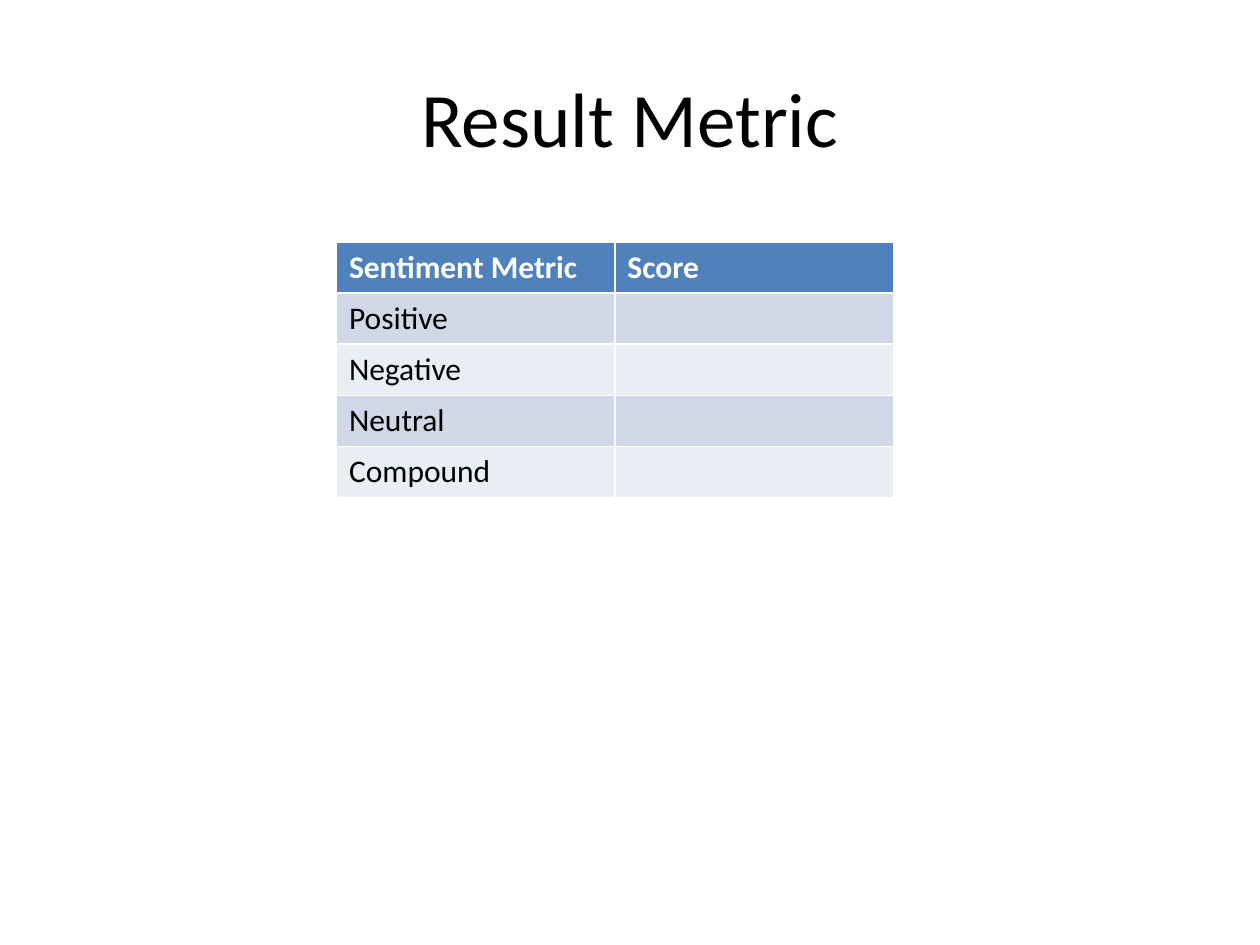
import pptx
import pptx.util
import pptx.dml.color
import pptx.enum.text

COLORS = {
    "text": "000000",
    "header": "4F81BD",
    "header_text": "FFFFFF",
    "odd_row": "D0D8E8",
    "even_row": "E9EDF4",
}
FONT = "Calibri"
ROWS = [
    ("Sentiment Metric", "Score"),
    ("Positive", ""),
    ("Negative", ""),
    ("Neutral", ""),
    ("Compound", ""),
]


def color(name):
    return pptx.dml.color.RGBColor.from_string(COLORS[name])


def format_font(paragraph, size, color_name, bold=False):
    paragraph.font.name = FONT
    paragraph.font.size = pptx.util.Pt(size)
    paragraph.font.bold = bold
    paragraph.font.color.rgb = color(color_name)


def place_title(slide, box, text):
    title = slide.shapes.title
    title.left, title.top, title.width, title.height = map(pptx.util.Inches, box)
    title.text_frame.text = text
    title.text_frame.vertical_anchor = pptx.enum.text.MSO_ANCHOR.MIDDLE
    paragraph = title.text_frame.paragraphs[0]
    paragraph.alignment = pptx.enum.text.PP_ALIGN.CENTER
    format_font(paragraph, 44, "text")


def place_score_table(slide, box, rows):
    left, top, width, height = map(pptx.util.Inches, box)
    table = slide.shapes.add_table(
        len(rows), len(rows[0]), left, top, width, height
    ).table
    for row_index, row in enumerate(rows):
        is_header = row_index == 0
        band = "odd_row" if row_index % 2 else "even_row"
        for column_index, text in enumerate(row):
            cell = table.cell(row_index, column_index)
            cell.text = text
            cell.fill.solid()
            cell.fill.fore_color.rgb = color("header" if is_header else band)
            format_font(
                cell.text_frame.paragraphs[0],
                18,
                "header_text" if is_header else "text",
                is_header,
            )


presentation = pptx.Presentation()
presentation.slide_width = pptx.util.Inches(10)
presentation.slide_height = pptx.util.Inches(7.5)
slide = presentation.slides.add_slide(
    presentation.slide_layouts.get_by_name("Title Only")
)
place_title(slide, (0.5, 0.3, 9, 1.25), "Result Metric")
place_score_table(slide, (2.67, 1.92, 4.42, 2.03), ROWS)
presentation.save("out.pptx")
